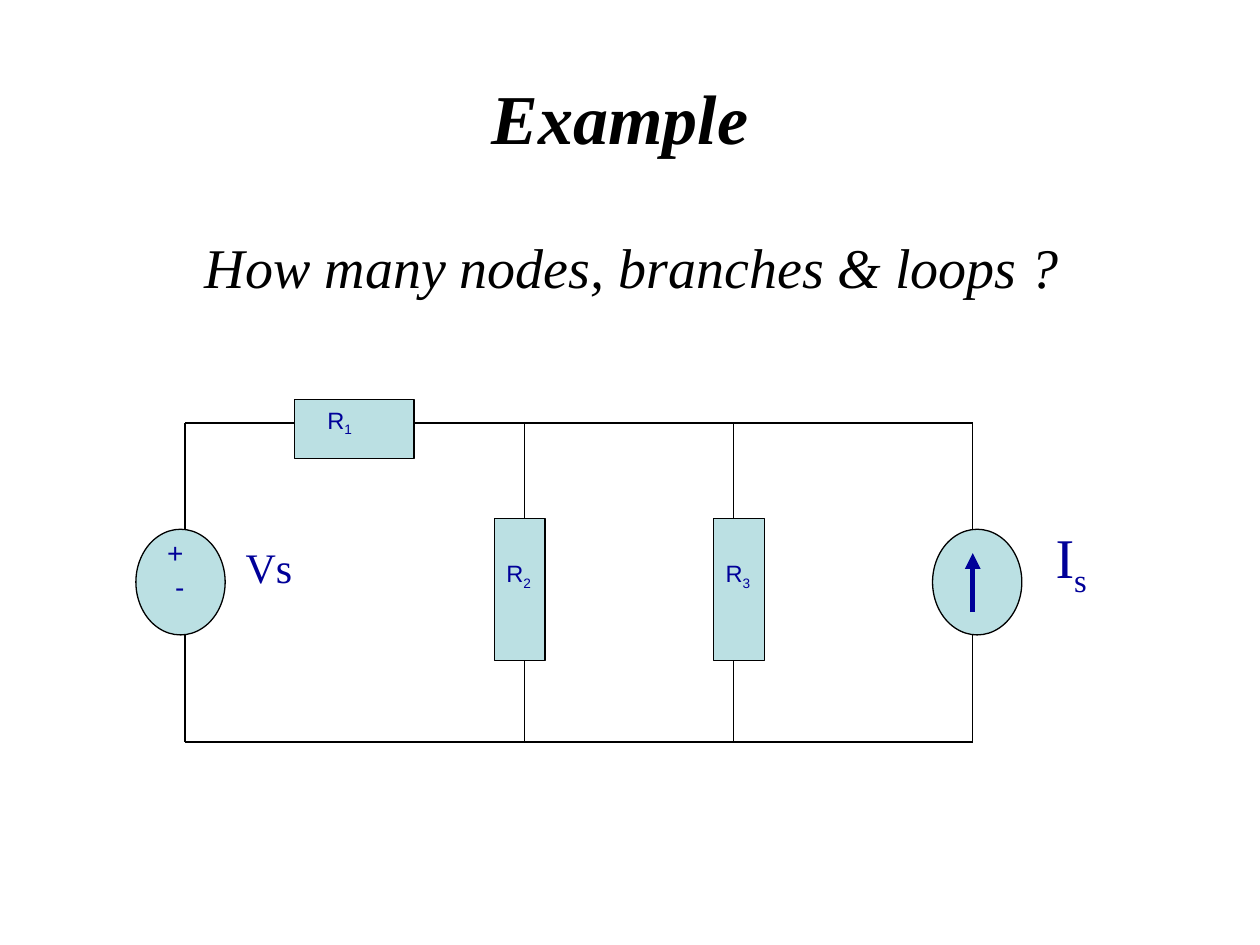
from pptx import Presentation
from pptx.dml.color import RGBColor
from pptx.enum.dml import MSO_LINE
from pptx.enum.shapes import MSO_CONNECTOR, MSO_SHAPE
from pptx.enum.text import MSO_ANCHOR, PP_ALIGN
from pptx.oxml.ns import qn
from pptx.util import Cm, Pt
from lxml import etree

BLACK = RGBColor(0x00, 0x00, 0x00)
WHITE = RGBColor(0xFF, 0xFF, 0xFF)
NAVY = RGBColor(0x00, 0x00, 0x99)
TEAL = RGBColor(0xBB, 0xE0, 0xE3)
SERIF, SANS = "Times New Roman", "Arial"
STRAIGHT, SOLID = MSO_CONNECTOR.STRAIGHT, MSO_LINE.SOLID
RECT, OVAL = MSO_SHAPE.RECTANGLE, MSO_SHAPE.OVAL
MIDDLE, CENTER, LEFT = MSO_ANCHOR.MIDDLE, PP_ALIGN.CENTER, PP_ALIGN.LEFT


def style(r, size, font, color, bold=False, italic=False):
    r.font.size, r.font.name = Pt(size), font
    r.font.bold, r.font.italic = bold, italic
    r.font.color.rgb = color


def add_title(s, x, y, w, h):
    sp = s.shapes.title
    sp.left, sp.top, sp.width, sp.height = Cm(x), Cm(y), Cm(w), Cm(h)
    tf = sp.text_frame
    tf.text = "Example"
    tf.vertical_anchor = MIDDLE
    p = tf.paragraphs[0]
    p.alignment = CENTER
    style(p.runs[0], 40, SERIF, BLACK, bold=True, italic=True)


def add_label(s, x, y, w, h, text, size, font, color=NAVY, sub="", italic=False):
    tf = s.shapes.add_textbox(Cm(x), Cm(y), Cm(w), Cm(h)).text_frame
    tf.word_wrap = True
    tf.text = text
    if sub:
        r = tf.paragraphs[0].add_run()
        r.text = sub
        r._r.get_or_add_rPr().set("baseline", "-25000")
    for p in tf.paragraphs:
        p.alignment = LEFT
        for r in p.runs:
            style(r, size, font, color, italic=italic)
    return tf


def add_wire(s, x1, y1, x2, y2, color=BLACK, width=0.75):
    c = s.shapes.add_connector(STRAIGHT, Cm(x1), Cm(y1), Cm(x2), Cm(y2))
    c.line.color.rgb = color
    c.line.width = Pt(width)
    c.line.dash_style = SOLID
    etree.SubElement(c._element.spPr, qn("a:effectLst"))
    return c


def add_part(s, kind, x, y, w, h):
    sp = s.shapes.add_shape(kind, Cm(x), Cm(y), Cm(w), Cm(h))
    sp.shadow.inherit = False
    sp.fill.solid()
    sp.fill.fore_color.rgb = TEAL
    sp.line.color.rgb = BLACK
    sp.line.width = Pt(0.75)


def add_circuit(s, x, y):
    top, bottom = y + 0.48, y + 6.91
    left, right = x + 0.99, x + 16.87
    source, resistor = (y + 2.62, y + 4.75), (y + 2.4, y + 5.27)

    # Vertical branches, each broken by its part
    for bx, (upper, lower) in ((left, source), (x + 7.83, resistor),
                               (x + 12.04, resistor), (right, source)):
        add_wire(s, bx, upper, bx, top)
        add_wire(s, bx, bottom, bx, lower)

    # Horizontal wires
    add_wire(s, left, top, x + 3.2, top)
    add_wire(s, x + 5.61, top, right, top)
    add_wire(s, left, bottom, right, bottom)

    # Sources
    for dx in (0, 16.06):
        add_part(s, OVAL, x + dx, source[0], 1.8, 2.13)
    tf = add_label(s, x + 0.38, y + 2.62, 1.09, 2.44, "+\n-", 16, SANS)
    tf.paragraphs[1]._p.get_or_add_pPr().set("marL", str(Cm(0.16)))
    arrow = add_wire(s, right, y + 4.29, right, y + 3.1, NAVY, 3)
    etree.SubElement(arrow.line._get_or_add_ln(), qn("a:tailEnd"), type="triangle")
    add_label(s, x + 1.96, y + 2.75, 1.9, 1.93, "Vs", 24, SERIF)
    add_label(s, x + 18.29, y + 2.36, 1.5, 2.44, "I", 32, SERIF, sub="s")

    # Resistors: part box, then label position
    for n, (dx, dy, w, h, lx, ly) in enumerate((
            (3.2, 0, 2.41, 1.19, 3.61, 0),
            (7.23, 2.4, 1.02, 2.87, 7.22, 3.1),
            (11.65, 2.4, 1.02, 2.87, 11.64, 3.1)), 1):
        add_part(s, RECT, x + dx, y + dy, w, h)
        add_label(s, x + lx, y + ly, 1.32, 1.24, "R", 13.5, SANS, sub=str(n))


prs = Presentation()
prs.slide_width, prs.slide_height = Cm(25.4), Cm(19.05)
s = prs.slides.add_slide(prs.slide_layouts[5])
s.background.fill.solid()
s.background.fill.fore_color.rgb = WHITE

add_title(s, 1.07, 0.76, 22.86, 3.18)
add_label(s, 3.88, 4.57, 19.6, 1.5, "How many nodes, branches & loops ?",
          32, SERIF, BLACK, italic=True)
add_circuit(s, 2.74, 8.05)

prs.save("out.pptx")
